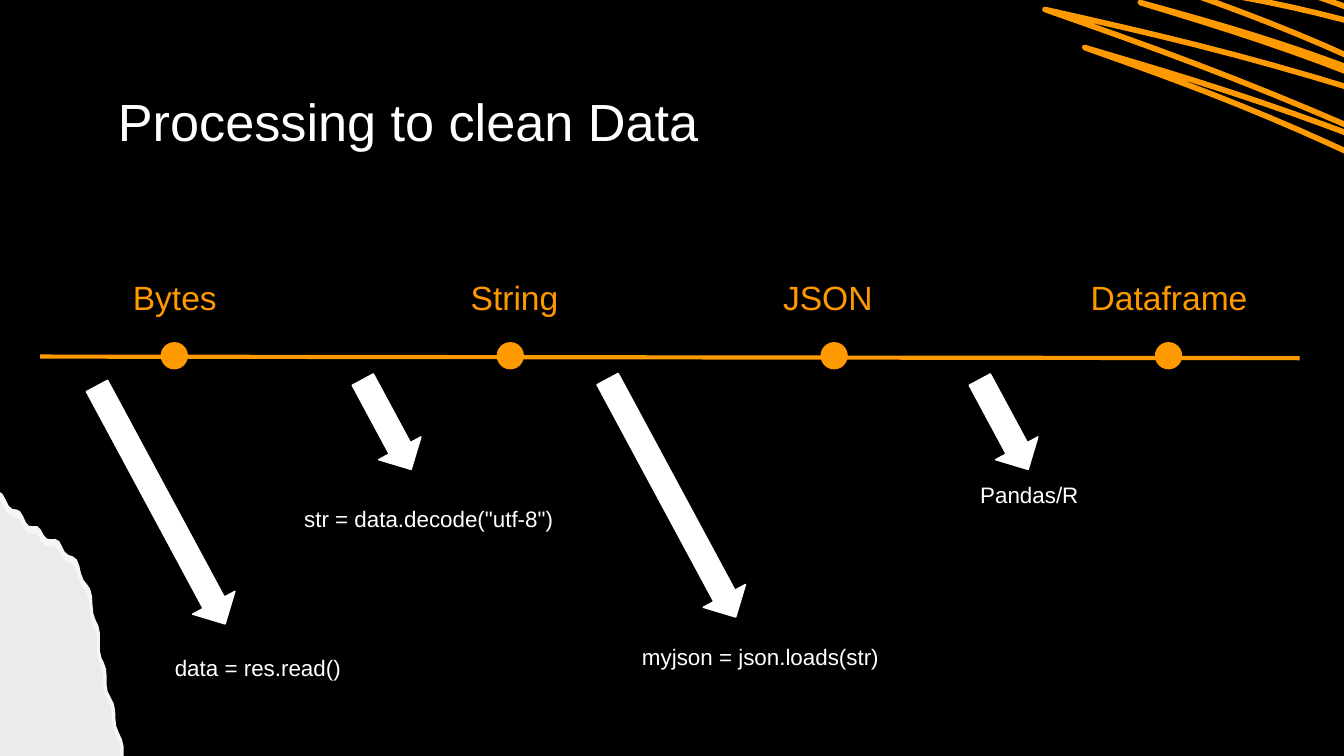
from dataclasses import dataclass
from itertools import pairwise
from math import cos, pi, sin

from lxml.etree import SubElement
from pptx import Presentation
from pptx.dml.color import RGBColor as Rgb
from pptx.enum.shapes import MSO_CONNECTOR as Connector, MSO_SHAPE as Preset
from pptx.enum.text import MSO_ANCHOR as Anchor, PP_ALIGN as Align
from pptx.oxml.ns import qn
from pptx.util import Cm, Pt


@dataclass(frozen=True)
class Theme:
    font: str = "Arial"
    back: Rgb = Rgb(0, 0, 0)
    text: Rgb = Rgb(255, 255, 255)
    accent: Rgb = Rgb(255, 153, 0)
    paper_rim: Rgb = Rgb(246, 246, 246)
    paper_sheet: Rgb = Rgb(235, 235, 235)
    title_size: int = 28
    step_size: int = 18
    code_size: int = 12


@dataclass(frozen=True)
class Step:
    """A stage of the data: its label and its dot on the timeline."""
    name: str
    label_left: float
    dot_left: float
    indent: float = 0


@dataclass(frozen=True)
class Action:
    """The code for a stage, and the arrow that points at it."""
    code: str
    left: float
    top: float
    height: float
    arrow_left: float
    arrow_top: float
    arrow_length: float


THEME = Theme()

# All lengths are in centimetres
PAGE_WIDTH, PAGE_HEIGHT = 25.4, 14.29
LABEL_WIDTH, LABEL_HEIGHT, LABEL_TOP = 6.45, 1.47, 4.99
DOT_SIZE, DOT_TOP = 0.49, 6.48
ARROW_WIDTH, ARROW_TILT = 0.91, 331.7
SHORT_ARROW, LONG_ARROW = 1.93, 5.11

STEPS = [
    Step("Bytes", label_left=0.08, dot_left=3.05),
    Step("String", label_left=6.5, dot_left=9.4),
    Step("JSON", label_left=12.01, dot_left=15.52, indent=2.54),
    Step("Dataframe", label_left=18.87, dot_left=21.84),
]

ACTIONS = [
    Action("data = res.read()", left=1.65, top=12.12, height=1.07,
           arrow_left=2.59, arrow_top=6.99, arrow_length=LONG_ARROW),
    Action('str = data.decode("utf-8")', left=4.88, top=9.3, height=2.21,
           arrow_left=6.86, arrow_top=7.06, arrow_length=SHORT_ARROW),
    Action("myjson = json.loads(str)", left=11.15, top=11.91, height=1.42,
           arrow_left=12.24, arrow_top=6.86, arrow_length=LONG_ARROW),
    Action("Pandas/R", left=16.23, top=8.84, height=2.21,
           arrow_left=18.52, arrow_top=7.06, arrow_length=SHORT_ARROW),
]

# The pen swings between these right and left turning points
RIGHT_TURNS = [(26, -0.15), (27.8, 1.1), (28, 2.3), (28.4, 2.6), (28.4, 3.7), (27.5, 3.85)]
LEFT_TURNS = [(22.35, -0.8), (22, -0.3), (21.55, 0.05), (19.75, 0.18), (20.5, 0.9)]
STROKE_RISE, STROKE_PARTS = 0.15, 12

# The torn paper is a quarter ellipse around this corner
PAPER_CORNER = (-0.46, 14.86)
RIM_RADII, SHEET_RADII = (2.84, 5.72), (2.77, 5.55)
PAPER_PARTS = 60


def add_text(page, text, left, top, width, height, *, size, color,
             align=Align.CENTER, anchor=Anchor.TOP, indent=0):
    box = page.shapes.add_textbox(Cm(left), Cm(top), Cm(width), Cm(height))
    frame = box.text_frame
    frame.word_wrap = True
    frame.vertical_anchor = anchor
    frame.margin_left = frame.margin_right = Cm(0.25)
    frame.margin_top = frame.margin_bottom = Cm(0.25)
    para = frame.paragraphs[0]
    para.alignment = align
    if indent:
        para._p.get_or_add_pPr().set("marL", str(Cm(indent)))
    span = para.add_run()
    span.text = text
    span.font.name, span.font.size = THEME.font, Pt(size)
    span.font.color.rgb = color


def paint(shape, color):
    shape.shadow.inherit = False
    shape.fill.solid()
    shape.fill.fore_color.rgb = color
    shape.line.color.rgb = color
    shape.line.width = Pt(0.75)


def add_preset(page, preset, left, top, width, height, color, rotation=0):
    shape = page.shapes.add_shape(preset, Cm(left), Cm(top), Cm(width), Cm(height))
    paint(shape, color)
    shape.rotation = rotation


def add_outline(page, points, color, close):
    start, *others = [(Cm(x), Cm(y)) for x, y in points]
    builder = page.shapes.build_freeform(*start, scale=1.0)
    builder.add_line_segments(others, close=close)
    shape = builder.convert_to_shape()
    paint(shape, color)
    return shape


def stroke_points(start, end):
    """Run from start to end along a slight upward bow."""
    (x0, y0), (x1, y1) = start, end
    for part in range(STROKE_PARTS + 1):
        t = part / STROKE_PARTS
        yield x0 + (x1 - x0) * t, y0 + (y1 - y0) * t - STROKE_RISE * sin(pi * t)


def add_scribble(page):
    turns = [RIGHT_TURNS[0]]
    for left_turn, right_turn in zip(LEFT_TURNS, RIGHT_TURNS[1:]):
        turns += [left_turn, right_turn]
    points = [point for ends in pairwise(turns) for point in stroke_points(*ends)]
    scribble = add_outline(page, points, THEME.accent, close=False)
    scribble.fill.background()
    scribble.line.width = Pt(3)
    line = scribble.line._get_or_add_ln()
    line.set("cap", "rnd")
    SubElement(line, qn("a:round"))


def add_paper(page, radii, color, ripple):
    """Draw a quarter ellipse with broad waves and a fine ripple on its edge."""
    (center_x, center_y), (radius_x, radius_y) = PAPER_CORNER, radii
    points = [PAPER_CORNER]
    for part in range(PAPER_PARTS + 1):
        angle = pi / 2 * part / PAPER_PARTS
        reach = 0.97 + 0.03 * cos(8 * angle) + ripple * sin(45 * angle)
        points.append((center_x + radius_x * reach * sin(angle),
                       center_y - radius_y * reach * cos(angle)))
    paper = add_outline(page, points, color, close=True)
    paper.line.fill.background()


def add_timeline(page):
    line = page.shapes.add_connector(Connector.STRAIGHT, Cm(0.76), Cm(6.74), Cm(24.56), Cm(6.77))
    line.line.color.rgb = THEME.accent
    line.line.width = Pt(2.25)
    SubElement(line._element.spPr, qn("a:effectLst"))


def add_step(page, step):
    add_text(page, step.name, step.label_left, LABEL_TOP, LABEL_WIDTH, LABEL_HEIGHT,
             size=THEME.step_size, color=THEME.accent, indent=step.indent,
             align=Align.LEFT if step.indent else Align.CENTER)
    add_preset(page, Preset.OVAL, step.dot_left, DOT_TOP, DOT_SIZE, DOT_SIZE, THEME.accent)


def add_action(page, action):
    add_text(page, action.code, action.left, action.top, LABEL_WIDTH, action.height,
             size=THEME.code_size, color=THEME.text)
    add_preset(page, Preset.DOWN_ARROW, action.arrow_left, action.arrow_top,
               ARROW_WIDTH, action.arrow_length, THEME.text, rotation=ARROW_TILT)


def main():
    deck = Presentation()
    deck.slide_width, deck.slide_height = Cm(PAGE_WIDTH), Cm(PAGE_HEIGHT)
    page = deck.slides.add_slide(deck.slide_layouts[6])
    page.background.fill.solid()
    page.background.fill.fore_color.rgb = THEME.back

    # Decoration
    add_scribble(page)
    add_paper(page, RIM_RADII, THEME.paper_rim, ripple=0.01)
    add_paper(page, SHEET_RADII, THEME.paper_sheet, ripple=0.01)

    # Title
    add_text(page, "Processing to clean Data", 1.98, 1.5, 21.44, 1.55,
             size=THEME.title_size, color=THEME.text, align=Align.LEFT, anchor=Anchor.MIDDLE)

    # Timeline with its steps, and the code below it
    add_timeline(page)
    for step in STEPS:
        add_step(page, step)
    for action in ACTIONS:
        add_action(page, action)

    deck.save("out.pptx")


if __name__ == "__main__":
    main()
